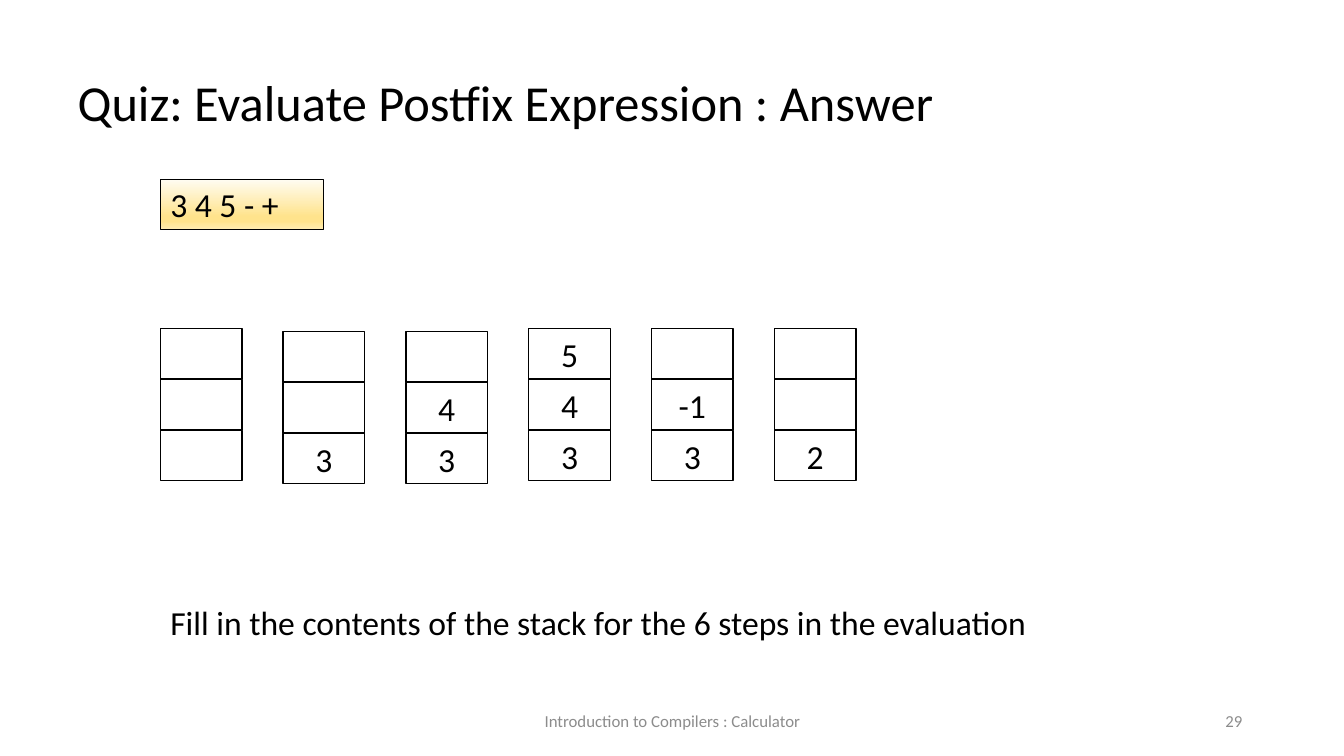
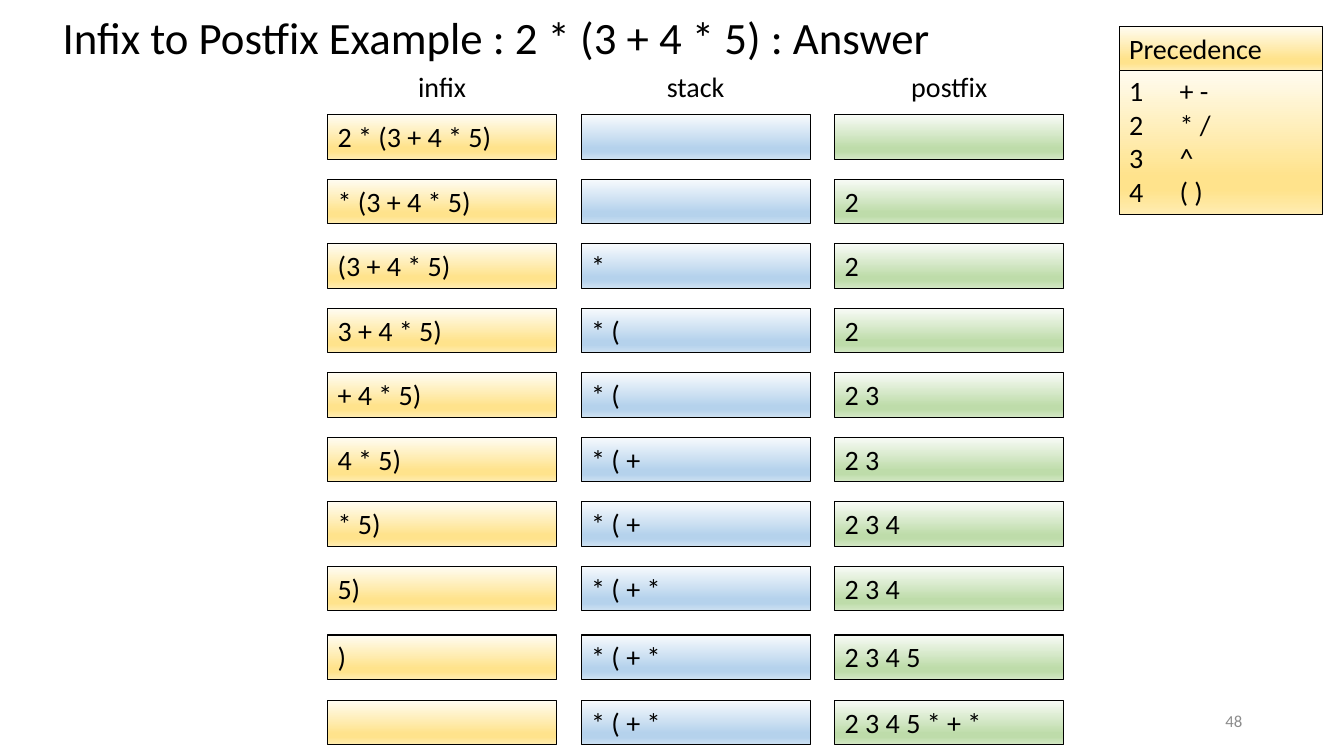
from copy import deepcopy

from pptx import Presentation
from pptx.dml.color import RGBColor
from pptx.enum.shapes import MSO_SHAPE
from pptx.enum.text import MSO_ANCHOR, MSO_AUTO_SIZE, PP_ALIGN
from pptx.oxml.ns import qn
from pptx.util import Inches, Pt

RECTANGLE = MSO_SHAPE.RECTANGLE
LEFT, CENTER, RIGHT = PP_ALIGN.LEFT, PP_ALIGN.CENTER, PP_ALIGN.RIGHT
TOP, MIDDLE = MSO_ANCHOR.TOP, MSO_ANCHOR.MIDDLE
NO_AUTOFIT = MSO_AUTO_SIZE.NONE

FONT = "Calibri"
BLACK = RGBColor(0x00, 0x00, 0x00)
GRAY = RGBColor(0x8C, 0x8C, 0x8C)
GOLD = (RGBColor(0xFF, 0xFC, 0xF2), RGBColor(0xFF, 0xE3, 0x8C), RGBColor(0xFF, 0xEC, 0xB2))
BLUE = (RGBColor(0xF7, 0xFA, 0xFD), RGBColor(0xB5, 0xD2, 0xEC), RGBColor(0xCE, 0xE1, 0xF2))
GREEN = (RGBColor(0xF8, 0xFB, 0xF6), RGBColor(0xBE, 0xDC, 0xAA), RGBColor(0xD4, 0xE8, 0xC6))

TITLE_ONLY = 5

STACK_LEFT, STACK_STEP = 1.59, (7.68 - 1.59) / 5
CELL_W, CELL_H, CELL_STEP = 0.81, 0.5, (4.27 - 3.26) / 2
STACKS = [
    (3.26, ("", "", "")),
    (3.29, ("", "", "3")),
    (3.29, ("", "4", "3")),
    (3.26, ("5", "4", "3")),
    (3.26, ("", "-1", "3")),
    (3.26, ("", "", "2")),
]

COLUMN_LEFT, COLUMN_STEP = 3.25, (8.28 - 3.25) / 2
COLUMN_W, ROW_H = 2.27, 0.44
ROW_TOPS = [1.14 + 0.64 * i for i in range(8)] + [6.3, 6.95]
COLUMNS = [("infix", GOLD), ("stack", BLUE), ("postfix", GREEN)]
STEPS = [
    ("2 * (3 + 4 * 5)", "", ""),
    ("* (3 + 4 * 5)", "", "2"),
    ("(3 + 4 * 5)", "*", "2"),
    ("3 + 4 * 5)", "* (", "2"),
    ("+ 4 * 5)", "* (", "2 3"),
    ("4 * 5)", "* ( +", "2 3"),
    ("* 5)", "* ( +", "2 3 4"),
    ("5)", "* ( + *", "2 3 4"),
    (")", "* ( + *", "2 3 4 5"),
    ("", "* ( + *", "2 3 4 5 * + *"),
]
PRECEDENCE = ["1\t+ -", "2\t* /", "3\t^", "4\t( )"]


def write(s, lines, size, color=BLACK, align=LEFT, anchor=TOP):
    """Fill a shape with one formatted paragraph per line."""
    tf = s.text_frame
    tf.word_wrap = True
    tf.auto_size = NO_AUTOFIT
    tf.vertical_anchor = anchor
    for i, line in enumerate(lines):
        p = tf.add_paragraph() if i else tf.paragraphs[0]
        p.alignment = align
        if line:
            r = p.add_run()
            r.text = line
            r.font.name = FONT
            r.font.size = Pt(size)
            r.font.color.rgb = color


def add_title(prs, text, box, size):
    """Add a slide and place its title."""
    slide = prs.slides.add_slide(prs.slide_layouts[TITLE_ONLY])
    title = slide.shapes.title
    title.left, title.top, title.width, title.height = map(Inches, box)
    write(title, [text], size)
    return slide


def add_label(slide, text, box, size, **style):
    """Add a text box with one line of text."""
    write(slide.shapes.add_textbox(*map(Inches, box)), [text], size, **style)


def add_box(slide, lines, box, size, line_width, **style):
    """Add an unfilled outlined rectangle with text."""
    s = slide.shapes.add_shape(RECTANGLE, *map(Inches, box))
    s.shadow.inherit = False
    s.fill.background()
    s.line.color.rgb = BLACK
    s.line.width = Pt(line_width)
    write(s, lines, size, **style)
    return s


def add_gradient_box(slide, lines, box, size, colors):
    """Add a rectangle shaded from top to bottom."""
    s = add_box(slide, lines, box, size, 0.75)
    s.fill.gradient()
    s.fill.gradient_angle = 270
    stop_list = s._element.spPr.find(qn("a:gradFill")).find(qn("a:gsLst"))
    for _ in range(2):
        stop_list.append(deepcopy(stop_list[0]))
    light, deep, end = colors
    shades = [(0, light), (0.74, deep), (0.83, deep), (1, end)]
    for stop, (position, color) in zip(s.fill.gradient_stops, shades):
        stop.position = position
        stop.color.rgb = color


def add_page_number(slide, number):
    """Add the gray slide number at the lower right."""
    add_label(slide, number, (9.42, 6.95, 3, 0.4), 12, color=GRAY, align=RIGHT, anchor=MIDDLE)


def add_stack(slide, left, top, values):
    """Draw one stack as a column of cells."""
    for i, value in enumerate(values):
        box = (left, top + i * CELL_STEP, CELL_W, CELL_H)
        add_box(slide, [value], box, 24, 1, align=CENTER, anchor=MIDDLE)


def build_quiz(prs):
    """Build the postfix evaluation slide."""
    slide = add_title(prs, "Quiz: Evaluate Postfix Expression : Answer", (0.67, 0.66, 11.41, 0.71), 36)
    add_label(slide, "Introduction to Compilers : Calculator", (4.42, 6.95, 4.5, 0.4), 12,
              color=GRAY, align=CENTER, anchor=MIDDLE)
    add_page_number(slide, "29")
    add_gradient_box(slide, ["3 4 5 - +"], (STACK_LEFT, 1.78, 1.62, 0.5), 24, GOLD)
    for i, (top, values) in enumerate(STACKS):
        add_stack(slide, STACK_LEFT + i * STACK_STEP, top, values)
    add_label(slide, "Fill in the contents of the stack for the 6 steps in the evaluation",
              (STACK_LEFT, 5.92, 9.42, 0.5), 24)


def build_conversion(prs):
    """Build the infix to postfix slide."""
    slide = add_title(prs, "Infix to Postfix Example : 2 * (3 + 4 * 5) : Answer", (0.52, 0.05, 9.06, 0.64), 32)
    add_page_number(slide, "48")
    for i, (heading, colors) in enumerate(COLUMNS):
        left = COLUMN_LEFT + i * COLUMN_STEP
        add_label(slide, heading, (left, 0.64, COLUMN_W, ROW_H), 20, align=CENTER)
        for top, step in zip(ROW_TOPS, STEPS):
            add_gradient_box(slide, [step[i]], (left, top, COLUMN_W, ROW_H), 20, colors)
    add_gradient_box(slide, PRECEDENCE, (11.1, 0.68, 2.02, 1.45), 20, GOLD)
    add_gradient_box(slide, ["Precedence"], (11.1, 0.26, 2.02, ROW_H), 20, GOLD)


def main():
    """Build and save the presentation."""
    prs = Presentation()
    prs.slide_width = Inches(13.33)
    prs.slide_height = Inches(7.5)
    build_quiz(prs)
    build_conversion(prs)
    prs.save("out.pptx")


main()
